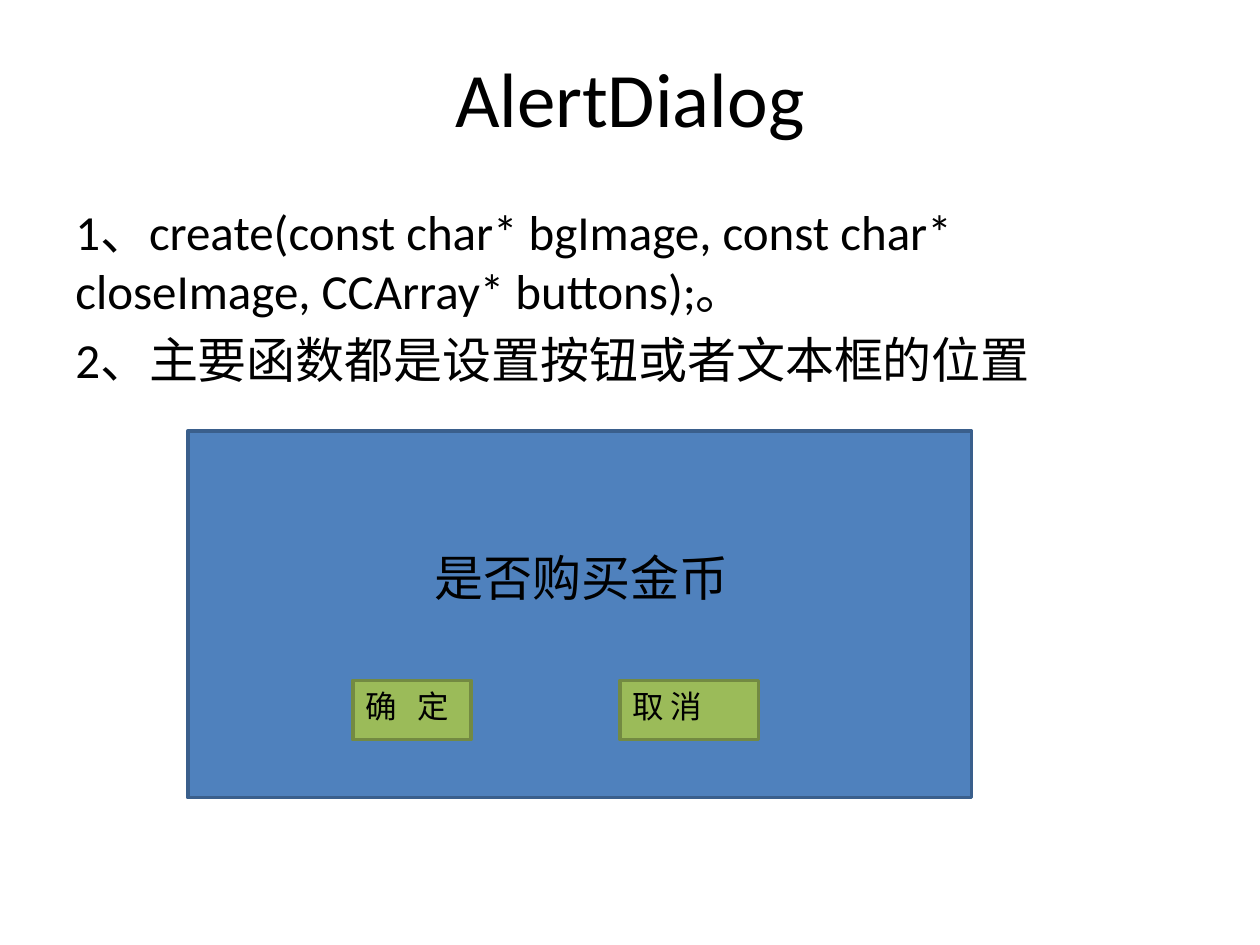
import pptx
import pptx.util
import pptx.dml.color
import pptx.enum.shapes
import pptx.enum.text

Inches = pptx.util.Inches
Pt = pptx.util.Pt
ALIGN = pptx.enum.text.PP_ALIGN
ANCHOR = pptx.enum.text.MSO_ANCHOR
RECT = pptx.enum.shapes.MSO_SHAPE.RECTANGLE

COLORS = {
    "text": "000000",
    "panel": "4F81BD",
    "panel edge": "3A5F8C",
    "button": "9BBB59",
    "button edge": "738A42",
}


def color(name):
    return pptx.dml.color.RGBColor.from_string(COLORS[name])


def write(frame, lines, size, align=ALIGN.LEFT, gap=0):
    frame.word_wrap = True
    frame.text = "\n".join(lines)
    for para in frame.paragraphs:
        para.alignment = align
        para.space_before = Pt(gap)
        para.font.name = "Calibri"
        para.font.size = Pt(size)
        para.font.color.rgb = color("text")


def add_title(slide, text):
    title = slide.shapes.title
    title.left, title.top = Inches(0.5), Inches(0.3)
    title.width, title.height = Inches(9), Inches(0.93)
    title.text_frame.vertical_anchor = ANCHOR.MIDDLE
    write(title.text_frame, [text], 44, ALIGN.CENTER)


def add_text(slide, box, lines, size, gap=0):
    shape = slide.shapes.add_textbox(*map(Inches, box))
    write(shape.text_frame, lines, size, gap=gap)


def add_rect(slide, box, name):
    shape = slide.shapes.add_shape(RECT, *map(Inches, box))
    shape.shadow.inherit = False
    shape.fill.solid()
    shape.fill.fore_color.rgb = color(name)
    shape.line.color.rgb = color(name + " edge")
    shape.line.width = Pt(2)


def add_button(slide, left, width, label):
    add_rect(slide, (left, 5.4, width, 0.47), "button")
    add_text(slide, (left, 5.4, width, 0.4), [label], 18)


def main():
    deck = pptx.Presentation()
    deck.slide_width, deck.slide_height = Inches(10), Inches(7.5)
    slide = deck.slides.add_slide(deck.slide_layouts[5])
    add_title(slide, "AlertDialog")
    notes = [
        "1、create(const char* bgImage, const char* closeImage, CCArray* buttons);。",
        "2、主要函数都是设置按钮或者文本框的位置",
    ]
    add_text(slide, (0.5, 1.55, 9, 5.15), notes, 28, gap=6)
    add_rect(slide, (1.49, 3.42, 6.22, 2.91), "panel")
    add_text(slide, (3.35, 4.3, 2.83, 0.57), ["是否购买金币"], 28)
    add_button(slide, 2.8, 0.94, "确   定")
    add_button(slide, 4.92, 1.1, "取 消")
    deck.save("out.pptx")


if __name__ == "__main__":
    main()
